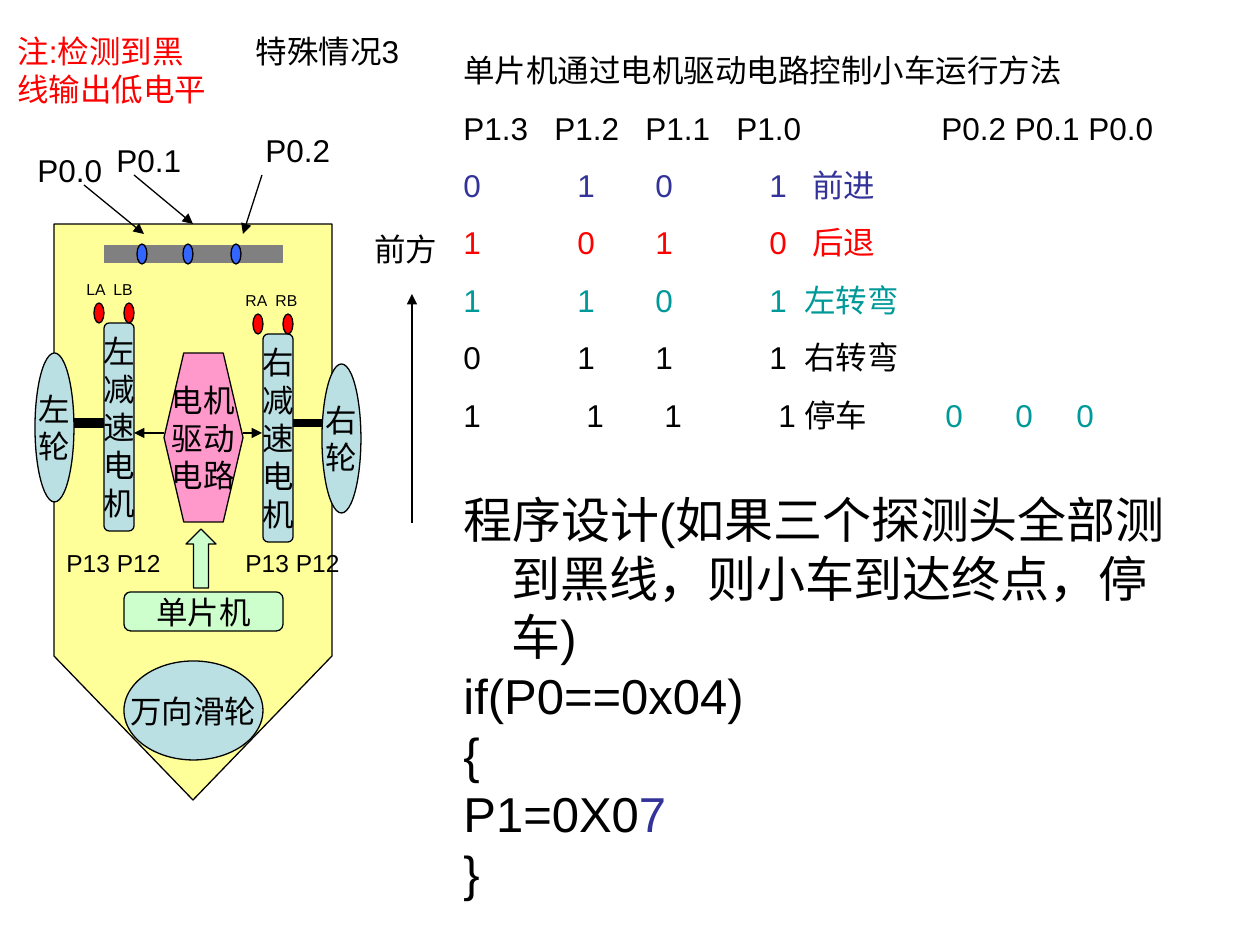
"""Build the slide on the line-following car: end-of-track special case."""
from lxml import etree
from pptx import Presentation
from pptx.dml.color import RGBColor
from pptx.enum.shapes import MSO_CONNECTOR, MSO_SHAPE
from pptx.enum.text import MSO_ANCHOR, MSO_AUTO_SIZE, PP_ALIGN
from pptx.oxml.ns import qn
from pptx.util import Emu, Pt

PX_PER_INCH = 126
STRAIGHT = MSO_CONNECTOR.STRAIGHT
OVAL = MSO_SHAPE.OVAL
ROUNDED = MSO_SHAPE.ROUNDED_RECTANGLE
HEXAGON = MSO_SHAPE.HEXAGON
UP_ARROW = MSO_SHAPE.UP_ARROW
TOP, MIDDLE = MSO_ANCHOR.TOP, MSO_ANCHOR.MIDDLE
LEFT, CENTER = PP_ALIGN.LEFT, PP_ALIGN.CENTER
GROW = MSO_AUTO_SIZE.SHAPE_TO_FIT_TEXT

BLACK = RGBColor(0x00, 0x00, 0x00)
RED = RGBColor(0xFF, 0x00, 0x00)
INDIGO = RGBColor(0x33, 0x33, 0x99)
TEAL = RGBColor(0x00, 0x99, 0x99)
GRAY = RGBColor(0x80, 0x80, 0x80)
YELLOW = RGBColor(0xFF, 0xFF, 0x99)
PALE_BLUE = RGBColor(0xBB, 0xE0, 0xE3)
PALE_GREEN = RGBColor(0xCC, 0xFF, 0xCC)
PINK = RGBColor(0xFF, 0x99, 0xCC)
SENSOR_BLUE = RGBColor(0x33, 0x66, 0xFF)

PIN_ROWS = [
    ([("单片机通过电机驱动电路控制小车运行方法", BLACK)], []),
    ([("P1.3\tP1.2\tP1.1\tP1.0\tP0.2 P0.1 P0.0", BLACK)], [91, 182, 273, 478]),
    ([("0\t1\t0\t1\t前进", INDIGO)], [114, 192, 306, 349]),
    ([("1\t0\t1\t0\t后退", RED)], [114, 192, 306, 349]),
    ([("1\t1\t0\t1\t左转弯", TEAL)], [114, 192, 306, 341]),
    ([("0\t1\t1\t1\t右转弯", BLACK)], [114, 192, 306, 341]),
    ([("1\t1\t1\t1\t停车", BLACK), ("\t0\t0\t0", TEAL)],
     [123, 201, 315, 341, 482, 552, 613]),
]
PROGRAM = [
    [("程序设计(如果三个探测头全部测到黑线，则小车到达终点，停车)", BLACK)],
    [("if(P0==0x04)", BLACK)],
    [("{", BLACK)],
    [("P1=0X0", BLACK), ("7", INDIGO)],
    [("}", BLACK)],
]


def px(length):
    return Emu(round(length * 914400 / PX_PER_INCH))


def write(frame, paragraphs, size=18, color=BLACK, align=LEFT, before=0,
          hanging=0, tabs=()):
    """Fill a frame; a paragraph is a string or a list of (text, colour)."""
    for index, content in enumerate(paragraphs):
        paragraph = frame.add_paragraph() if index else frame.paragraphs[0]
        paragraph.alignment = align
        paragraph.space_before = Pt(before)
        properties = paragraph._p.get_or_add_pPr()
        if hanging:
            properties.set("marL", str(px(hanging)))
            properties.set("indent", str(-px(hanging)))
        stops = tabs[index] if tabs else []
        if stops:
            tab_list = etree.SubElement(properties, qn("a:tabLst"))
            for stop in stops:
                etree.SubElement(tab_list, qn("a:tab"), pos=str(px(stop)), algn="l")
        runs = [(content, color)] if isinstance(content, str) else content
        for words, run_color in runs:
            run = paragraph.add_run()
            run.text = words
            run.font.name = "Arial"
            run.font.size = Pt(size)
            run.font.color.rgb = run_color


def add_label(slide, box, paragraphs, **text_format):
    frame = slide.shapes.add_textbox(*map(px, box)).text_frame
    frame.word_wrap = True
    frame.auto_size = GROW
    write(frame, paragraphs, **text_format)


def paint(shape, fill):
    shape.shadow.inherit = False
    shape.fill.solid()
    shape.fill.fore_color.rgb = fill
    shape.line.color.rgb = BLACK
    shape.line.width = Pt(0.75)


def add_part(slide, preset, box, fill, lines=(), corner=None):
    part = slide.shapes.add_shape(preset, *map(px, box))
    paint(part, fill)
    if corner is not None:
        part.adjustments[0] = corner
    if lines:
        part.text_frame.word_wrap = False
        part.text_frame.vertical_anchor = MIDDLE
        write(part.text_frame, lines, align=CENTER)


def add_line(slide, ends, color=BLACK, width=0.75, arrow=False):
    line = slide.shapes.add_connector(STRAIGHT, *map(px, ends))
    line.line.color.rgb = color
    line.line.width = Pt(width)
    if arrow:
        etree.SubElement(line.line._get_or_add_ln(), qn("a:tailEnd"), type="triangle")
    etree.SubElement(line._element.spPr, qn("a:effectLst"))


def add_chassis(slide):
    outline = [(54, 224), (332, 224), (332, 656), (193, 800), (54, 656)]
    corners = [(px(x), px(y)) for x, y in outline]
    builder = slide.shapes.build_freeform(*corners[0])
    builder.add_line_segments(corners[1:], close=True)
    paint(builder.convert_to_shape(), YELLOW)


def add_drive(slide, side, wheel_left, wheel_top, motor_left, motor_top, terminals,
              terminal_gap, pins_left):
    """Add one side's wheel, motor, terminals and pin labels."""
    add_part(slide, OVAL, (wheel_left, wheel_top, 39, 149), PALE_BLUE, [side, "轮"])
    add_part(slide, ROUNDED, (motor_left, motor_top, 30, 208), PALE_BLUE,
             [side, *"减速电机"], corner=0.17)
    for left in (motor_left - 10, motor_left + 20):
        add_part(slide, OVAL, (left, motor_top - 20, 10, 20), RED)
    add_label(slide, (motor_left - 30, motor_top - 49, 79, 32), [terminals],
              size=9, before=5.6, tabs=[[terminal_gap]])
    add_label(slide, (pins_left, 542, 129, 43), ["P13 P12"], size=14, before=8.8)


def add_sensors(slide):
    add_line(slide, (104, 254, 283, 254), GRAY, 10)
    for left in (137, 183, 231):
        add_part(slide, OVAL, (left, 244, 10, 20), SENSOR_BLUE)
    callouts = [
        ("P0.0", 25, 145, (84, 185, 144, 234)),
        ("P0.1", 104, 135, (134, 175, 193, 224)),
        ("P0.2", 253, 125, (262, 175, 243, 234)),
    ]
    for name, left, top, pointer in callouts:
        add_label(slide, (left, top, 110, 50), [name], before=11.2)
        add_line(slide, pointer, arrow=True)


def add_title(slide, box, words):
    title = slide.shapes.title
    title.left, title.top, title.width, title.height = map(px, box)
    title.text_frame.vertical_anchor = TOP
    title.text_frame.word_wrap = True
    title.text_frame.auto_size = GROW
    write(title.text_frame, [words])


def main():
    deck = Presentation()
    deck.slide_width, deck.slide_height = px(1260), px(945)
    slide = deck.slides.add_slide(deck.slide_layouts[5])
    add_title(slide, (243, 26, 198, 50), "特殊情况3")
    add_label(slide, (5, 26, 218, 88), ["注:检测到黑线输出低电平"], color=RED, before=11.2)

    add_chassis(slide)
    add_line(slide, (74, 423, 104, 423), width=6)
    add_line(slide, (292, 423, 322, 423), width=4.5)
    add_drive(slide, "左", 35, 353, 104, 323, "LA\tLB", 27, 54)
    add_drive(slide, "右", 322, 364, 263, 334, "RA\tRB", 30, 233)
    add_part(slide, OVAL, (124, 661, 139, 99), PALE_BLUE, ["万向滑轮"])
    add_part(slide, HEXAGON, (164, 353, 79, 169), PINK, ["电机", "驱动", "电路"], corner=0.25)
    add_line(slide, (164, 433, 134, 433), arrow=True)
    add_line(slide, (243, 433, 262, 433), arrow=True)
    add_part(slide, ROUNDED, (124, 592, 159, 39), PALE_GREEN, ["单片机"], corner=0.17)
    add_part(slide, UP_ARROW, (186, 529, 30, 59), PALE_GREEN, corner=0.5)
    add_sensors(slide)
    add_label(slide, (362, 224, 89, 50), ["前方"], before=11.2)
    add_line(slide, (412, 523, 412, 294), arrow=True)

    rows, stops = zip(*PIN_ROWS)
    add_label(slide, (451, 45, 735, 396), rows, before=11.2, tabs=stops)
    add_label(slide, (451, 483, 735, 425), PROGRAM, size=28, hanging=48)
    deck.save("out.pptx")


if __name__ == "__main__":
    main()
